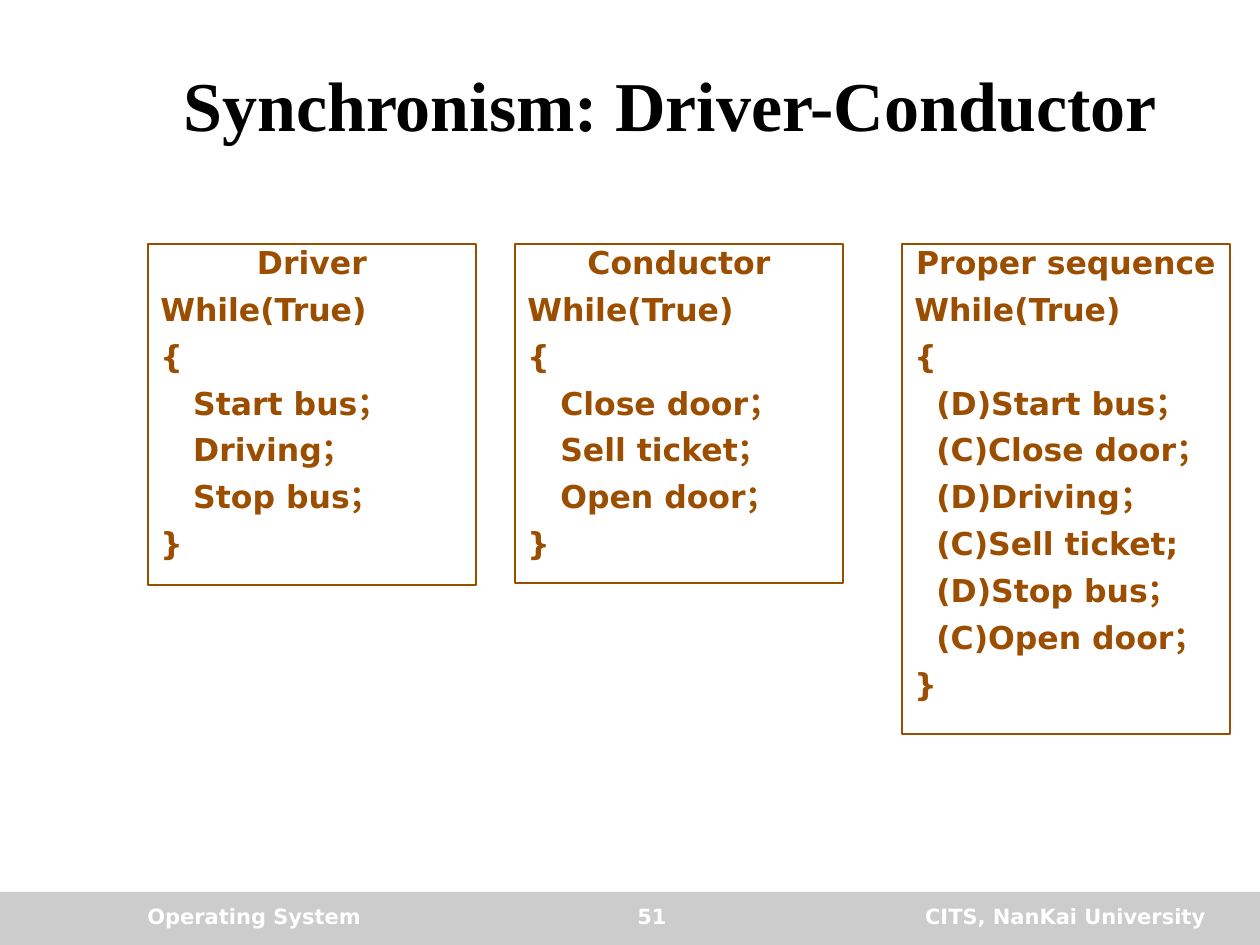
from dataclasses import dataclass
from pptx import Presentation
from pptx.dml.color import RGBColor as RGB
from pptx.enum.shapes import MSO_SHAPE as Shape
from pptx.enum.text import MSO_ANCHOR as Anchor, PP_ALIGN as Align
from pptx.util import Emu, Pt

SCALE = 914400 / 126


@dataclass(frozen=True)
class Theme:
    ink: RGB = RGB(0, 0, 0)
    code: RGB = RGB(0x9C, 0x4E, 0x00)
    bar: RGB = RGB(0xCC, 0xCC, 0xCC)
    foot: RGB = RGB(0xFF, 0xFF, 0xFF)
    serif: str = "Times New Roman"
    sans: str = "DejaVu Sans"
    title_size: int = 40
    code_size: int = 18
    foot_size: int = 12


THEME = Theme()

PANELS = [
    (148, 341, "Driver",
     ["   Start bus；", "   Driving；", "   Stop bus；"]),
    (515, 339, "Conductor",
     ["   Close door；", "   Sell ticket；", "   Open door；"]),
    (902, 490, "Proper sequence",
     ["  (D)Start bus；", "  (C)Close door；", "  (D)Driving；",
      "  (C)Sell ticket;", "  (D)Stop bus；", "  (C)Open door；"]),
]

FOOTER = [
    (135, 346, "Operating System", Align.LEFT),
    (819, 399, "CITS, NanKai University", Align.RIGHT),
    (505, 294, "51", Align.CENTER),
]


def px(*sizes):
    return [Emu(round(size * SCALE)) for size in sizes]


def style(para, size, color, face, align):
    para.alignment = align
    for run in para.runs:
        font = run.font
        font.size, font.bold, font.name = Pt(size), True, face
        font.color.rgb = color


def add_rect(slide, *area):
    rect = slide.shapes.add_shape(Shape.RECTANGLE, *px(*area))
    rect.shadow.inherit = False
    return rect


def add_bar(slide):
    bar = add_rect(slide, 0, 892, 1260, 53)
    bar.fill.solid()
    bar.fill.fore_color.rgb = THEME.bar
    bar.line.fill.background()


def set_title(slide, text):
    title = slide.shapes.title
    title.left, title.top, title.width, title.height = px(134, 42, 1072, 123)
    frame = title.text_frame
    frame.text = text
    frame.vertical_anchor = Anchor.MIDDLE
    style(frame.paragraphs[0], THEME.title_size, THEME.ink, THEME.serif,
          Align.CENTER)


def add_foot(slide, left, width, text, align):
    frame = slide.shapes.add_textbox(*px(left, 897, width, 42)).text_frame
    frame.word_wrap = True
    frame.text = text
    style(frame.paragraphs[0], THEME.foot_size, THEME.foot, THEME.sans, align)


def add_panel(slide, left, height, head, steps):
    """Outlined box with a centred heading above a loop of steps."""
    box = add_rect(slide, left, 244, 328, height)
    box.fill.background()
    box.line.color.rgb = THEME.code
    box.line.width = Pt(0.75)
    frame = box.text_frame
    frame.word_wrap = True
    frame.vertical_anchor = Anchor.TOP
    frame.text = "\n".join([head, "While(True)", "{", *steps, "}"])
    for i, para in enumerate(frame.paragraphs):
        para.line_spacing = 0.8
        para.space_before = Pt(9.5 if i else 0)
        style(para, THEME.code_size, THEME.code, THEME.sans,
              Align.LEFT if i else Align.CENTER)


def main():
    deck = Presentation()
    deck.slide_width, deck.slide_height = px(1260, 945)
    slide = deck.slides.add_slide(deck.slide_layouts[5])
    add_bar(slide)
    set_title(slide, "Synchronism: Driver-Conductor")
    for foot in FOOTER:
        add_foot(slide, *foot)
    for panel in PANELS:
        add_panel(slide, *panel)
    deck.save("out.pptx")


if __name__ == "__main__":
    main()
